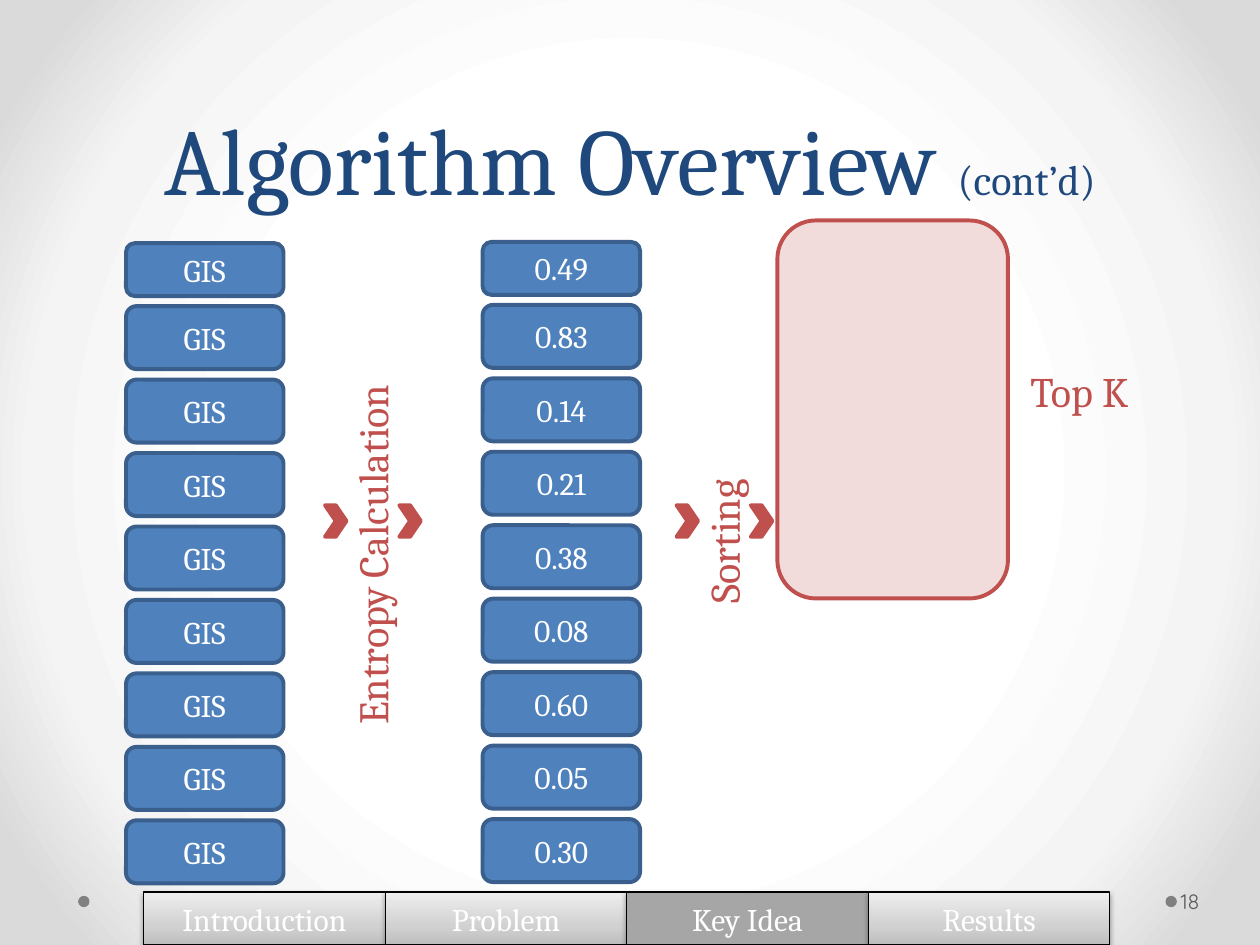
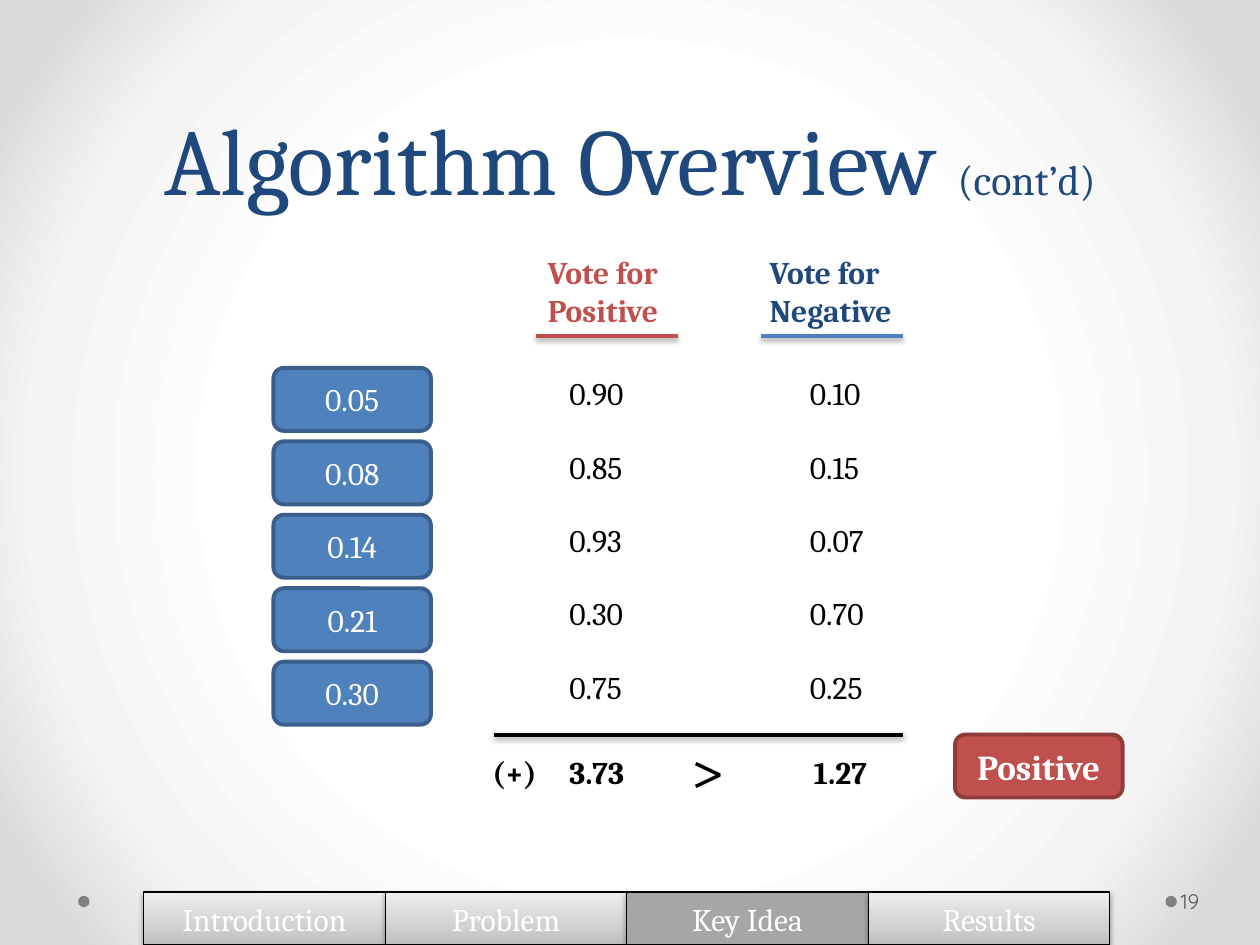
import dataclasses

import pptx
import pptx.dml.color
import pptx.enum.shapes
import pptx.enum.text
import pptx.oxml
import pptx.oxml.ns
import pptx.util

Inches = pptx.util.Inches
Shape = pptx.enum.shapes.MSO_SHAPE
Align = pptx.enum.text.PP_ALIGN
Anchor = pptx.enum.text.MSO_ANCHOR
qn = pptx.oxml.ns.qn
NAMESPACE = pptx.oxml.ns.nsdecls("a")


@dataclasses.dataclass(frozen=True)
class Theme:
    """Colours, fonts and type sizes of the deck."""
    blue: str = "4F81BD"
    blue_edge: str = "3A5F8C"
    navy: str = "1F497D"
    red: str = "C0504D"
    red_edge: str = "8E3B39"
    white: str = "FFFFFF"
    black: str = "000000"
    dot: str = "808080"
    number: str = "595959"
    active: str = "A6A6A6"
    page_stops: tuple = ((50, "FFFFFF"), (76, "F4F4F4"), (92, "DADADA"))
    tab_stops: tuple = ((0, "BDBDBD"), (35, "D1D1D1"), (100, "EEEEEE"))
    font: str = "Cambria"
    number_font: str = "Quicksand"
    title_size: int = 54
    sign_size: int = 36
    label_size: int = 24
    verdict_size: int = 20
    body_size: int = 18
    number_size: int = 12
    line: float = 2.25
    thin_line: float = 0.75


THEME = Theme()
SECTIONS = ("Introduction", "Problem", "Key Idea", "Results")
TAB_WIDTH = 1.917
BOX_WIDTH, BOX_HEIGHT = 1.25, 0.5
ROW_PITCH = 0.583
RADIAL = ('<a:path path="circle"><a:fillToRect l="50000" t="50000" '
          'r="50000" b="50000"/></a:path>')
UPWARD = '<a:lin ang="16200000" scaled="0"/>'


def rgb(value):
    """Turn a hex string into a colour."""
    return pptx.dml.color.RGBColor.from_string(value)


def set_gradient(properties, stops, direction):
    """Replace the solid fill in the properties with a gradient."""
    marks = "".join(
        f'<a:gs pos="{place * 1000}"><a:srgbClr val="{color}"/></a:gs>'
        for place, color in stops)
    gradient = pptx.oxml.parse_xml(
        f'<a:gradFill {NAMESPACE} rotWithShape="1"><a:gsLst>{marks}</a:gsLst>'
        f'{direction}</a:gradFill>')
    properties.replace(properties.find(qn("a:solidFill")), gradient)


def add_shadow(properties):
    """Put a soft shadow below the outline."""
    effects = properties.find(qn("a:effectLst"))
    if effects is None:
        effects = pptx.oxml.parse_xml(f"<a:effectLst {NAMESPACE}/>")
        properties.append(effects)
    effects.append(pptx.oxml.parse_xml(
        f'<a:outerShdw {NAMESPACE} blurRad="40000" dist="20000" dir="5400000" '
        'rotWithShape="0"><a:srgbClr val="000000"><a:alpha val="38000"/>'
        '</a:srgbClr></a:outerShdw>'))


class Painter:
    """Holds the theme and the current slide, and draws elements on it."""

    def __init__(self, deck, theme):
        """Set the shared background of the deck."""
        self.deck = deck
        self.theme = theme
        self.page = None
        master = deck.slide_master
        master.background.fill.solid()
        properties = next(master.element.iter(qn("p:bgPr")))
        set_gradient(properties, theme.page_stops, RADIAL)

    def style(self, span, color, **values):
        """Format one run."""
        look = {"name": self.theme.font,
                "size": self.theme.body_size, **values}
        look["size"] = pptx.util.Pt(look["size"])
        for name, value in look.items():
            setattr(span.font, name, value)
        span.font.color.rgb = rgb(color)

    def fill_text(self, frame, words, color, align, **values):
        """Put one paragraph in the frame and return it."""
        para = frame.paragraphs[0]
        para.text = words
        para.alignment = align
        for span in para.runs:
            self.style(span, color, **values)
        return para

    def text(self, left, top, width, height, words, color=None, frame=None,
             align=Align.LEFT, rotation=0, **values):
        """Add a text box and return its paragraph."""
        box = self.page.shapes.add_textbox(*map(Inches, (left, top, width, height)))
        box.rotation = rotation
        look = {"word_wrap": False, **(frame or {})}
        for name, value in look.items():
            setattr(box.text_frame, name, value)
        return self.fill_text(box.text_frame, words,
                              color or self.theme.black, align, **values)

    def shape(self, kind, left, top, width, height, fill, edge=None,
              weight=None, words="", **values):
        """Add a filled preset shape with optional outline and words."""
        box = self.page.shapes.add_shape(
            kind, *map(Inches, (left, top, width, height)))
        box.shadow.inherit = False
        box.fill.solid()
        box.fill.fore_color.rgb = rgb(fill)
        if edge:
            box.line.color.rgb = rgb(edge)
            box.line.width = pptx.util.Pt(weight or self.theme.line)
        else:
            box.line.fill.background()
        if words:
            box.text_frame.vertical_anchor = Anchor.MIDDLE
            self.fill_text(box.text_frame, words, self.theme.white,
                           Align.CENTER, **values)
        return box

    def card(self, left, top, words, height=BOX_HEIGHT):
        """Add a blue rounded card."""
        self.shape(Shape.ROUNDED_RECTANGLE, left, top, BOX_WIDTH, height,
                   self.theme.blue, self.theme.blue_edge, words=words)

    def stack(self, left, top, labels):
        """Add a column of cards, the first one lower than the rest."""
        self.card(left, top, labels[0], height=0.42)
        for row, label in enumerate(labels[1:]):
            self.card(left, top + 0.5 + row * ROW_PITCH, label)

    def step(self, center, words, length):
        """Add an upright step name between two chevrons."""
        middle, height = 4.24, 0.5
        self.text(center - length / 2, middle - height / 2, length, height,
                  words, self.theme.red, rotation=270,
                  size=self.theme.label_size)
        for offset in (-0.37, 0.22):
            self.shape(Shape.CHEVRON, center + offset, 4.01, 0.17, 0.25,
                       self.theme.red, self.theme.red)

    def rule(self, left, right, top, color):
        """Add a horizontal line with a shadow."""
        line = self.page.shapes.add_connector(
            pptx.enum.shapes.MSO_CONNECTOR.STRAIGHT,
            *map(Inches, (left, top, right, top)))
        line.line.color.rgb = rgb(color)
        line.line.width = pptx.util.Pt(self.theme.line)
        add_shadow(line.element.spPr)

    def title(self, words, suffix):
        """Add the title with a smaller suffix."""
        para = self.text(0.5, 0, 9, 1.75, words, self.theme.navy,
                         {"word_wrap": True, "vertical_anchor": Anchor.BOTTOM},
                         Align.CENTER, size=self.theme.title_size)
        para.line_spacing = pptx.util.Pt(58)
        span = para.add_run()
        span.text = suffix
        self.style(span, self.theme.navy, size=self.theme.label_size)

    def tabs(self, current):
        """Add the section band and mark the current section."""
        for index, section in enumerate(SECTIONS):
            tab = self.shape(Shape.CHEVRON, 1.14 + index * TAB_WIDTH, 7.08,
                             TAB_WIDTH, 0.42, self.theme.active,
                             self.theme.black, self.theme.thin_line, section)
            tab.adjustments[0] = 0
            properties = tab.element.spPr
            add_shadow(properties)
            if section != current:
                set_gradient(properties, self.theme.tab_stops, UPWARD)

    def start(self, number):
        """Start a slide with its dots, title, section band and number."""
        self.page = self.deck.slides.add_slide(self.deck.slide_layouts[6])
        for left in (9.25, 0.62):
            self.shape(Shape.OVAL, left, 7.11, 0.09, 0.09, self.theme.dot)
        self.title("Algorithm Overview ", "(cont’d)")
        self.tabs("Key Idea")
        self.text(9.34, 6.95, 0.61, 0.4, str(number), self.theme.number,
                  {"word_wrap": True, "vertical_anchor": Anchor.MIDDLE,
                   "margin_left": Inches(0.03), "margin_right": Inches(0.05)},
                  name=self.theme.number_font, size=self.theme.number_size)


def draw_sorting(painter):
    """Draw the entropy calculation and sorting steps."""
    painter.start(18)
    entropies = ("0.49", "0.83", "0.14", "0.21", "0.38",
                 "0.08", "0.60", "0.05", "0.30")
    painter.stack(1, 1.93, ("GIS",) * len(entropies))
    painter.stack(3.83, 1.92, entropies)
    painter.step(2.95, "Entropy Calculation", 3.22)
    painter.step(5.74, "Sorting", 1.29)
    red = painter.theme.red
    top_group = painter.shape(Shape.ROUNDED_RECTANGLE, 6.17, 1.75, 1.83, 3,
                              red, red)
    color = top_group.element.spPr.find(qn("a:solidFill")).find(qn("a:srgbClr"))
    color.append(pptx.oxml.parse_xml(f'<a:alpha {NAMESPACE} val="20000"/>'))
    painter.text(8.08, 2.85, 1.1, 0.5, "Top K", red,
                 size=painter.theme.label_size)


def draw_voting(painter):
    """Draw the votes of the top entries and the verdict."""
    painter.start(19)
    theme = painter.theme
    positive, negative, top = 4.42, 6.33, 2.92
    votes = (("0.05", "0.90", "0.10"), ("0.08", "0.85", "0.15"),
             ("0.14", "0.93", "0.07"), ("0.21", "0.30", "0.70"),
             ("0.30", "0.75", "0.25"))
    for row, (entropy, yes, no) in enumerate(votes):
        height = top + row * ROW_PITCH
        painter.card(2.17, height, entropy)
        painter.text(positive, height, 0.64, 0.4, yes)
        painter.text(negative, height, 0.64, 0.4, no)
    painter.text(4.25, 1.96, 1.13, 0.71, "Vote for\nPositive", theme.red,
                 bold=True)
    painter.text(6.01, 1.96, 1.24, 0.71, "Vote for\nNegative", theme.navy,
                 bold=True)
    painter.rule(4.25, 5.38, 2.67, theme.red)
    painter.rule(6.04, 7.17, 2.67, theme.blue)
    painter.rule(3.92, 7.17, 5.83, theme.black)
    for left, words in ((3.81, "(+)"), (positive, "3.73"), (6.36, "1.27")):
        painter.text(left, 5.93, 0.64, 0.4, words, bold=True)
    painter.text(5.38, 5.75, 0.45, 0.71, ">", size=theme.sign_size)
    painter.shape(Shape.ROUNDED_RECTANGLE, 7.58, 5.83, 1.33, 0.5, theme.red,
                  theme.red_edge, words="Positive", size=theme.verdict_size,
                  bold=True)


def main():
    """Build and save the deck."""
    deck = pptx.Presentation()
    deck.slide_width, deck.slide_height = Inches(10), Inches(7.5)
    painter = Painter(deck, THEME)
    draw_sorting(painter)
    draw_voting(painter)
    deck.save("out.pptx")


main()
